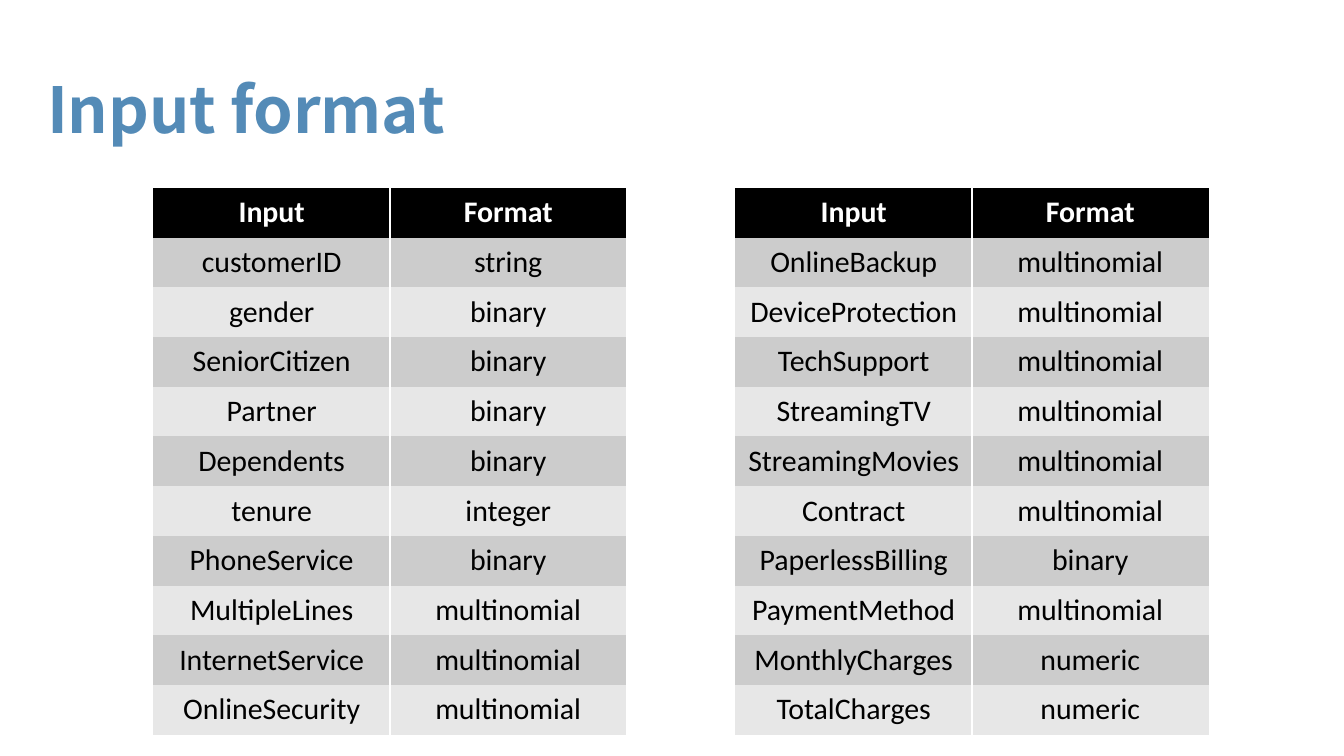
from pptx import Presentation
from pptx.dml.color import RGBColor
from pptx.enum import text
from pptx.oxml import parse_xml
from pptx.oxml.ns import nsdecls
from pptx.util import Cm, Pt

BLUE = RGBColor(0x54, 0x8B, 0xB7)
BLACK = RGBColor(0, 0, 0)
WHITE = RGBColor(0xFF, 0xFF, 0xFF)
DARK_BAND = RGBColor(0xCC, 0xCC, 0xCC)
LIGHT_BAND = RGBColor(0xE7, 0xE7, 0xE7)

PLAIN_STYLE = "{2D5ABB26-0587-4C30-8999-92F81FD0307C}"
HEADER = ("Input", "Format")
FIRST_INPUTS = [
    ("customerID", "string"),
    ("gender", "binary"),
    ("SeniorCitizen", "binary"),
    ("Partner", "binary"),
    ("Dependents", "binary"),
    ("tenure", "integer"),
    ("PhoneService", "binary"),
    ("MultipleLines", "multinomial"),
    ("InternetService", "multinomial"),
    ("OnlineSecurity", "multinomial"),
]
SECOND_INPUTS = [
    ("OnlineBackup", "multinomial"),
    ("DeviceProtection", "multinomial"),
    ("TechSupport", "multinomial"),
    ("StreamingTV", "multinomial"),
    ("StreamingMovies", "multinomial"),
    ("Contract", "multinomial"),
    ("PaperlessBilling", "binary"),
    ("PaymentMethod", "multinomial"),
    ("MonthlyCharges", "numeric"),
    ("TotalCharges", "numeric"),
]


def format_paragraph(paragraph, font_name, size, color, bold, alignment):
    """Align a paragraph and format its runs."""
    paragraph.alignment = alignment
    for span in paragraph.runs:
        span.font.name = font_name
        span.font.size = Pt(size)
        span.font.bold = bold
        span.font.color.rgb = color


def set_title(page, wording):
    """Place and format the slide title."""
    box = page.shapes.title
    box.left, box.top, box.width, box.height = Cm(0.89), Cm(1.4), Cm(17.2), Cm(1.27)
    frame = box.text_frame
    frame.text = wording
    frame.word_wrap = True
    frame.auto_size = text.MSO_AUTO_SIZE.NONE
    frame.vertical_anchor = text.MSO_ANCHOR.MIDDLE
    frame.margin_left = frame.margin_right = frame.margin_top = frame.margin_bottom = 0
    format_paragraph(frame.paragraphs[0], "Noto Sans CJK JP", 34, BLUE, True, text.PP_ALIGN.LEFT)


def add_border(cell, side):
    """Draw a white line on one side of a cell."""
    line = parse_xml(
        f'<a:{side} {nsdecls("a")} w="{Pt(1.5)}"><a:solidFill>'
        f'<a:srgbClr val="{WHITE}"/></a:solidFill></a:{side}>'
    )
    cell._tc.get_or_add_tcPr().insert(0, line)


def fill_cell(cell, wording, fill, color, bold):
    """Write a centred cell on a solid fill."""
    cell.text = wording
    cell.margin_left = cell.margin_right = Cm(0.24)
    cell.margin_top = cell.margin_bottom = Cm(0.12)
    cell.fill.solid()
    cell.fill.fore_color.rgb = fill
    format_paragraph(cell.text_frame.paragraphs[0], "Calibri", 16, color, bold, text.PP_ALIGN.CENTER)


def add_format_table(page, left, inputs):
    """Add a banded table of inputs and their formats."""
    rows = [HEADER] + inputs
    table = page.shapes.add_table(
        len(rows), len(HEADER), left, Cm(3.55), 2 * Cm(4.47), len(rows) * Cm(0.94)
    ).table
    table._tbl.tblPr.find("{*}tableStyleId").text = PLAIN_STYLE
    table.horz_banding = False
    for row_index, row in enumerate(rows):
        is_header = row_index == 0
        band = DARK_BAND if row_index % 2 else LIGHT_BAND
        for column_index, wording in enumerate(row):
            cell = table.cell(row_index, column_index)
            fill_cell(cell, wording, BLACK if is_header else band,
                      WHITE if is_header else BLACK, is_header)
            add_border(cell, "lnL" if column_index else "lnR")


def main():
    """Build the input format slide."""
    deck = Presentation()
    deck.slide_width, deck.slide_height = Cm(25.4), Cm(14.29)
    page = deck.slides.add_slide(deck.slide_layouts[5])
    set_title(page, "Input format")
    for index, inputs in enumerate((FIRST_INPUTS, SECOND_INPUTS)):
        add_format_table(page, Cm(2.9 + 11 * index), inputs)
    deck.save("out.pptx")


if __name__ == "__main__":
    main()
